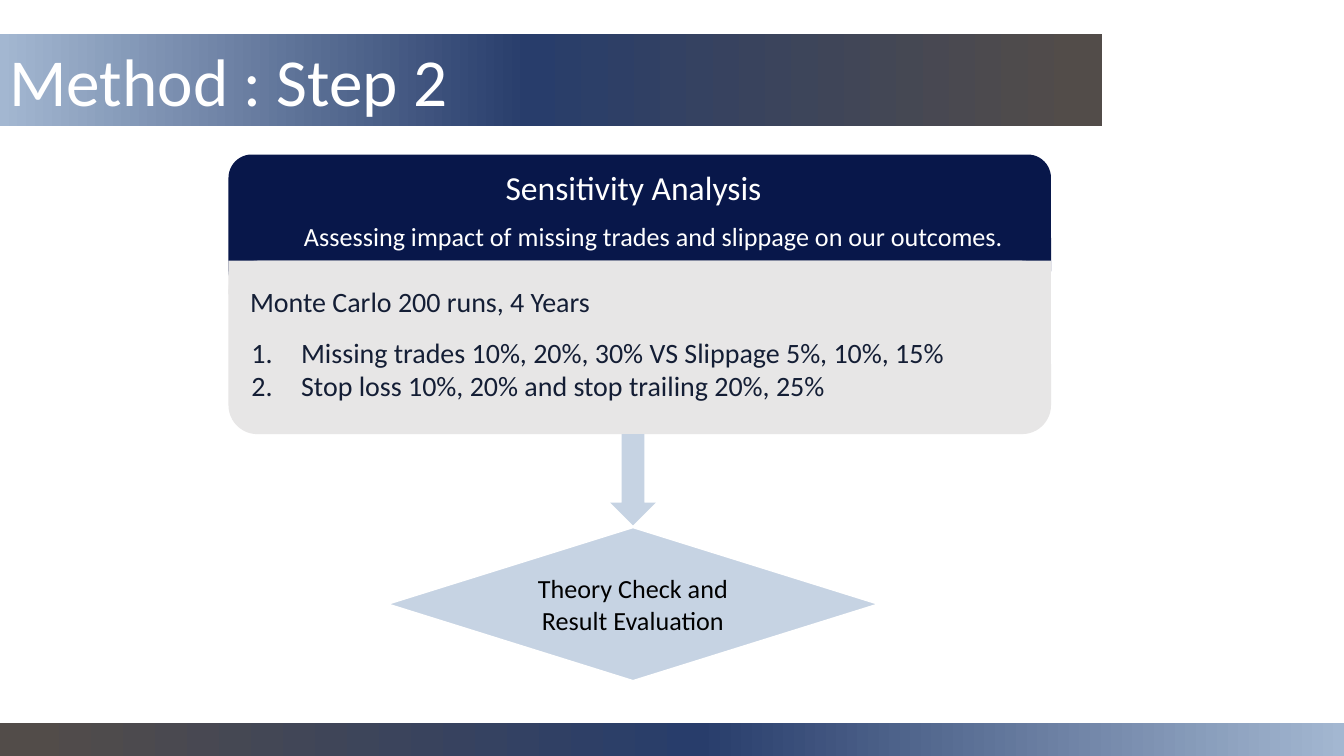
"""Build the sensitivity analysis step of a method slide."""
from dataclasses import dataclass
from typing import Optional

from lxml import etree
from pptx import Presentation
from pptx.dml.color import RGBColor
from pptx.enum.shapes import MSO_SHAPE
from pptx.enum.text import MSO_ANCHOR, MSO_AUTO_SIZE, PP_ALIGN
from pptx.oxml.ns import qn
from pptx.util import Inches, Pt

ROUND, RECT = MSO_SHAPE.ROUNDED_RECTANGLE, MSO_SHAPE.RECTANGLE
ARROW, DIAMOND = MSO_SHAPE.DOWN_ARROW, MSO_SHAPE.DIAMOND
TOP, MIDDLE = MSO_ANCHOR.TOP, MSO_ANCHOR.MIDDLE
LEFT, CENTER = PP_ALIGN.LEFT, PP_ALIGN.CENTER
NO_FIT = MSO_AUTO_SIZE.NONE


@dataclass(frozen=True)
class Theme:
    """Hold the colours, font and type sizes."""
    font: str = "Calibri"
    navy: str = "08174A"
    grey: str = "E7E6E6"
    pale: str = "C6D3E3"
    white: str = "FFFFFF"
    black: str = "000000"
    ink: str = "141E35"
    gradient: tuple = ((0, "A3B7D1"), (48, "283D6B"), (98, "524C49"), (100, "524C49"))
    title: int = 36
    heading: int = 18
    body: int = 15
    label: int = 14


@dataclass(frozen=True)
class Box:
    """Describe a filled shape, with at in inches."""
    kind: int
    at: tuple
    fill: str
    line: Optional[str] = None


@dataclass(frozen=True)
class Label:
    """Describe one centred line of text, with at in inches."""
    at: tuple
    text: str
    size: int


THEME = Theme()
SLIDE_W = 10
SLIDE_H = SLIDE_W * 9 / 16
CARD_X, CARD_W = 1.7, 6.12
BOXES = (
    Box(ROUND, (CARD_X, 1.15, CARD_W, 1.04), THEME.navy),
    Box(ROUND, (CARD_X, 1.94, CARD_W, 1.29), THEME.grey),
    Box(RECT, (CARD_X, 1.94, CARD_W, 0.25), THEME.grey),
    Box(ARROW, (4.54, 3.23, 0.34, 0.68), THEME.pale),
)
DECISION = Box(DIAMOND, (2.87, 3.92, 3.68, 1.15), THEME.pale, THEME.white)
LABELS = (
    Label((1.8, 1.2, 5.83, 0.38), "Sensitivity Analysis", THEME.heading),
    Label((1.9, 1.6, 5.93, 0.31),
          "Assessing impact of missing trades and slippage on our outcomes.", THEME.label),
)
INTRO = "Monte Carlo 200 runs, 4 Years"
RUNS = (
    "Missing trades 10%, 20%, 30% VS Slippage 5%, 10%, 15%",
    "Stop loss 10%, 20% and stop trailing 20%, 25%",
)


def set_attrs(target, values: dict) -> None:
    """Set each named attribute on the target."""
    for name, value in values.items():
        setattr(target, name, value)


def place(sp, at: tuple) -> None:
    """Move and size a shape in inches."""
    set_attrs(sp, dict(zip(("left", "top", "width", "height"), map(Inches, at))))


def set_solid(sp, color: str) -> None:
    """Fill a shape with one colour."""
    sp.fill.solid()
    sp.fill.fore_color.rgb = RGBColor.from_string(color)


def set_gradient(sp, stops) -> None:
    """Fill a shape with a horizontal gradient."""
    sp.fill.gradient()
    sp.fill.gradient_angle = 0
    gs_list = next(sp._element.iter(qn("a:gsLst")))
    for old in list(gs_list):
        gs_list.remove(old)
    for pos, color in stops:
        gs = etree.SubElement(gs_list, qn("a:gs"), pos=str(pos * 1000))
        etree.SubElement(gs, qn("a:srgbClr"), val=color)


def set_frame(tf, anchor=TOP) -> None:
    """Set wrapping, insets and anchor of a text frame."""
    set_attrs(tf, {
        "word_wrap": True, "auto_size": NO_FIT, "vertical_anchor": anchor,
        "margin_left": Inches(0.07), "margin_right": Inches(0.07),
        "margin_top": Inches(0.04), "margin_bottom": Inches(0.04),
    })


def write(p, text: str, size: int, color: str, align=LEFT, before: float = 0) -> None:
    """Write one formatted run into a paragraph."""
    set_attrs(p, {"alignment": align, "space_before": Pt(before)})
    r = p.add_run()
    r.text = text
    set_attrs(r.font, {"name": THEME.font, "size": Pt(size)})
    r.font.color.rgb = RGBColor.from_string(color)


def set_list(p, numbered: bool) -> None:
    """Give a paragraph a number, or remove its bullet."""
    pPr = p._p.get_or_add_pPr()
    margin, indent = (0.38, -0.37) if numbered else (0, 0)
    pPr.set("marL", str(Inches(margin)))
    pPr.set("indent", str(Inches(indent)))
    if numbered:
        color = etree.SubElement(pPr, qn("a:buClr"))
        etree.SubElement(color, qn("a:srgbClr"), val=THEME.ink)
        etree.SubElement(pPr, qn("a:buFont"), typeface=THEME.font)
        etree.SubElement(pPr, qn("a:buAutoNum"), type="arabicPeriod")
    else:
        etree.SubElement(pPr, qn("a:buNone"))


def add_box(s, box: Box):
    """Draw a flat shape and return it."""
    sp = s.shapes.add_shape(box.kind, *map(Inches, box.at))
    sp.shadow.inherit = False
    set_solid(sp, box.fill)
    if box.line:
        sp.line.color.rgb = RGBColor.from_string(box.line)
        sp.line.width = Pt(1.5)
    else:
        sp.line.fill.background()
    return sp


def add_label(s, label: Label) -> None:
    """Draw a centred white text box."""
    tf = s.shapes.add_textbox(*map(Inches, label.at)).text_frame
    set_frame(tf)
    write(tf.paragraphs[0], label.text, label.size, THEME.white, CENTER)


def fill_title(sp) -> None:
    """Format the title placeholder as a gradient band."""
    place(sp, (0, 0.25, 8.2, 0.69))
    set_gradient(sp, THEME.gradient)
    set_frame(sp.text_frame, MIDDLE)
    write(sp.text_frame.paragraphs[0], "Method : Step 2", THEME.title, THEME.white)


def fill_body(s, sp) -> None:
    """Write the run settings in the body placeholder, above the card."""
    s.shapes._spTree.append(sp._element)
    place(sp, (1.79, 2.08, 5.83, 0.97))
    set_solid(sp, THEME.grey)
    tf = sp.text_frame
    set_frame(tf)
    for i, text in enumerate((INTRO, *RUNS)):
        p = tf.add_paragraph() if i else tf.paragraphs[0]
        set_list(p, numbered=i > 0)
        write(p, text, THEME.body, THEME.ink, before=9 if i == 1 else 0)


def main() -> None:
    """Build and save the slide."""
    prs = Presentation()
    set_attrs(prs, {"slide_width": Inches(SLIDE_W), "slide_height": Inches(SLIDE_H)})
    s = prs.slides.add_slide(prs.slide_layouts[1])
    fill_title(s.shapes.title)
    for box in BOXES:
        add_box(s, box)
    fill_body(s, s.placeholders[1])
    for label in LABELS:
        add_label(s, label)
    tf = add_box(s, DECISION).text_frame
    set_frame(tf, MIDDLE)
    write(tf.paragraphs[0], "Theory Check and Result Evaluation",
          THEME.label, THEME.black, CENTER)
    footer = add_box(s, Box(RECT, (0, 5.38, SLIDE_W, SLIDE_H - 5.38), THEME.navy))
    set_gradient(footer, [(100 - pos, color) for pos, color in reversed(THEME.gradient)])
    prs.save("out.pptx")


if __name__ == "__main__":
    main()
